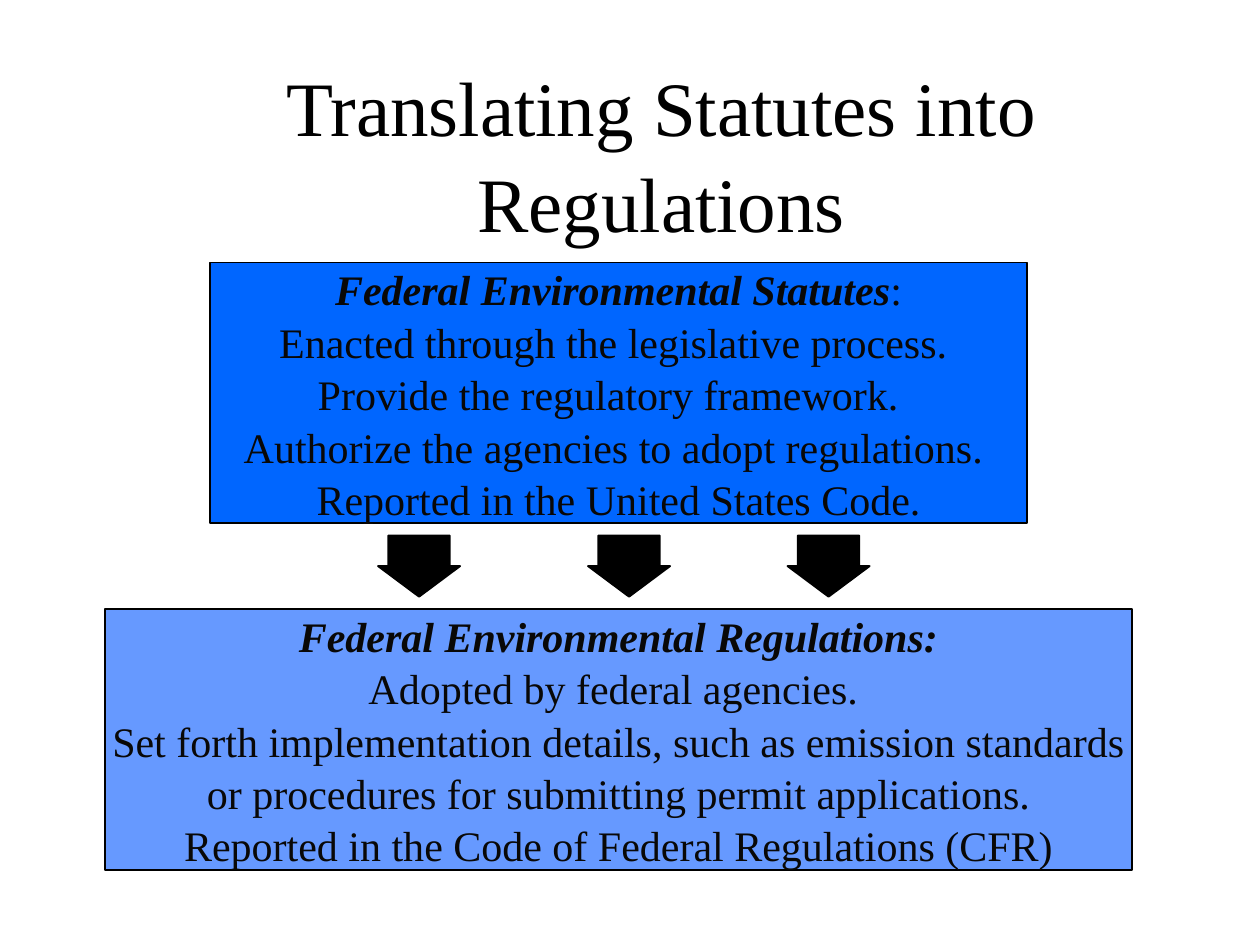
from pptx import Presentation
from pptx import util as u
from pptx.dml.color import RGBColor
from pptx.enum import shapes, text

BLACK = RGBColor(0x00, 0x00, 0x00)
INK = RGBColor(0x09, 0x08, 0x07)
STATUTE_BLUE = RGBColor(0x00, 0x66, 0xFF)
REGULATION_BLUE = RGBColor(0x66, 0x99, 0xFF)


def write(paragraph, words, size=24, color=INK, bold=False, italic=False):
    paragraph.alignment = text.PP_ALIGN.CENTER
    paragraph.line_spacing = 1.04
    run = paragraph.add_run()
    run.text = words
    font = run.font
    font.name = "Times New Roman"
    font.size = u.Pt(size)
    font.color.rgb = color
    font.bold = bold
    font.italic = italic


class SlideBuilder:
    line_width = u.Pt(1)

    def __init__(self, slide):
        self.slide = slide

    def title(self, words, left, top, width, height):
        title = self.slide.shapes.title
        title.left, title.top = u.Pt(left), u.Pt(top)
        title.width, title.height = u.Pt(width), u.Pt(height)
        frame = title.text_frame
        frame.auto_size = text.MSO_AUTO_SIZE.NONE
        frame.vertical_anchor = text.MSO_ANCHOR.MIDDLE
        write(frame.paragraphs[0], words, size=44, color=BLACK)

    def block(self, kind, left, top, width, height, fill):
        block = self.slide.shapes.add_shape(
            kind, u.Pt(left), u.Pt(top), u.Pt(width), u.Pt(height))
        block.shadow.inherit = False
        block.fill.solid()
        block.fill.fore_color.rgb = fill
        block.line.color.rgb = BLACK
        block.line.width = self.line_width
        return block

    def panel(self, heading, mark, points, left, top, width, height, fill):
        panel = self.block(shapes.MSO_SHAPE.RECTANGLE, left, top, width, height, fill)
        frame = panel.text_frame
        frame.word_wrap = False
        frame.vertical_anchor = text.MSO_ANCHOR.MIDDLE
        write(frame.paragraphs[0], heading, bold=True, italic=True)
        if mark:
            write(frame.paragraphs[0], mark)
        for point in points:
            write(frame.add_paragraph(), point)

    def down_arrow(self, left, top, width, height):
        arrow = self.block(shapes.MSO_SHAPE.DOWN_ARROW, left, top, width, height, BLACK)
        arrow.adjustments[0] = 0.75
        arrow.adjustments[1] = 0.5


def main():
    deck = Presentation()
    deck.slide_width, deck.slide_height = u.Pt(720), u.Pt(540)
    page = SlideBuilder(deck.slides.add_slide(deck.slide_layouts[5]))

    page.title("Translating Statutes into Regulations", 66, 42, 624, 90)
    page.panel(
        "Federal Environmental Statutes", ":",
        ["Enacted through the legislative process. ",
         "Provide the regulatory framework.  ",
         "Authorize the agencies to adopt regulations. ",
         "Reported in the United States Code."],
        120, 150, 467, 149, STATUTE_BLUE)
    page.panel(
        "Federal Environmental Regulations:", "",
        ["Adopted by federal agencies. ",
         "Set forth implementation details, such as emission standards",
         "or procedures for submitting permit applications.",
         "Reported in the Code of Federal Regulations (CFR)"],
        60, 348, 587, 149, REGULATION_BLUE)
    for left in (216, 336, 450):
        page.down_arrow(left, 306, 47, 35)

    deck.save("out.pptx")


if __name__ == "__main__":
    main()
